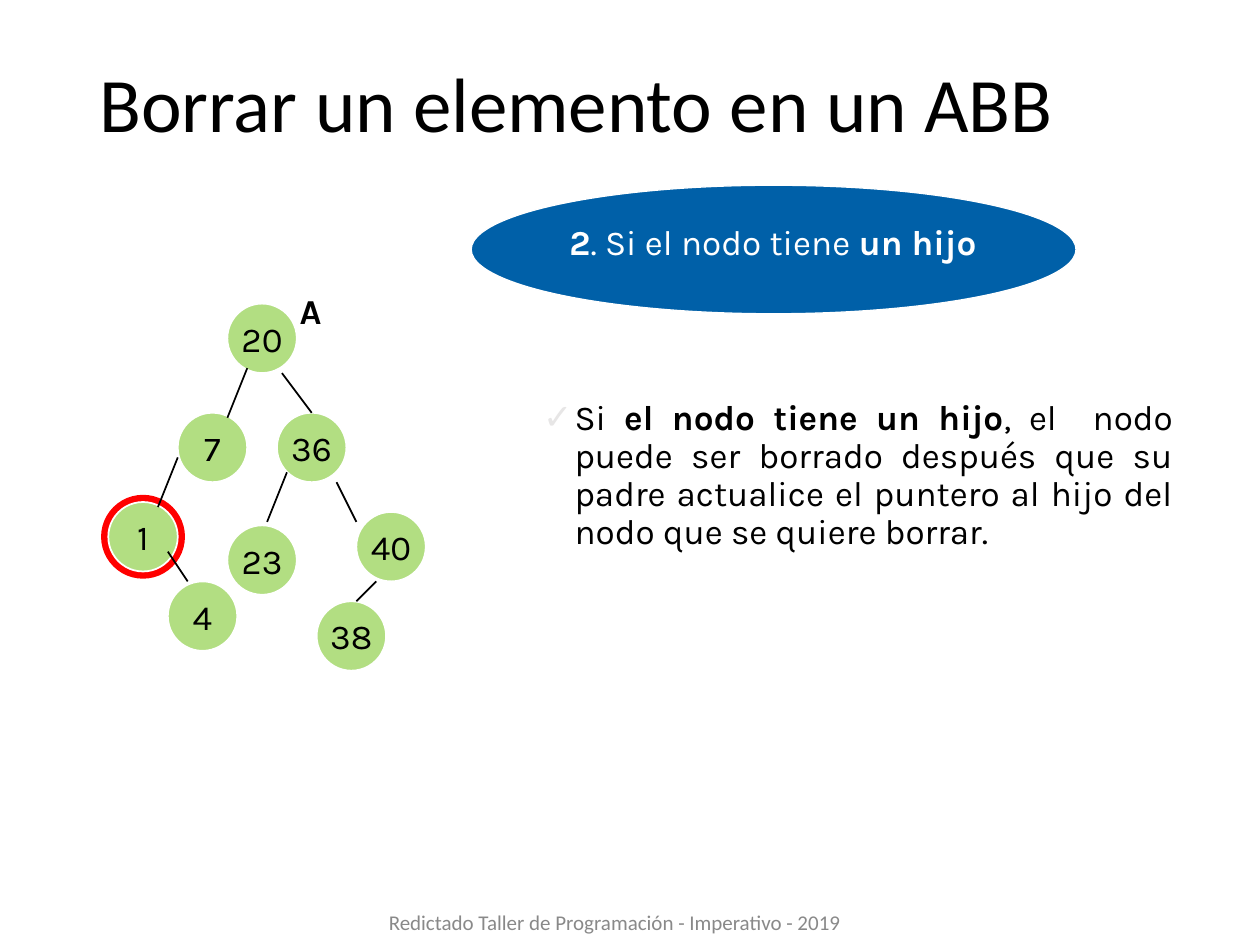
"""Build the slide on deleting a node with one child from a binary search tree."""
from typing import NamedTuple

from lxml.etree import SubElement
from pptx import Presentation
from pptx.dml.color import RGBColor
from pptx.enum.shapes import MSO_CONNECTOR as CONN, MSO_SHAPE as SHAPE
from pptx.enum.text import MSO_ANCHOR as ANCHOR, MSO_AUTO_SIZE as FIT, PP_ALIGN as ALIGN
from pptx.oxml.ns import qn
from pptx.util import Cm, Inches, Pt

BLACK = RGBColor(0x00, 0x00, 0x00)
WHITE = RGBColor(0xFF, 0xFF, 0xFF)
RED = RGBColor(0xFF, 0x00, 0x00)
GREEN = RGBColor(0xB2, 0xDE, 0x82)
PALE_BLUE = RGBColor(0xBE, 0xD1, 0xE0)
BLUE = RGBColor(0x00, 0x60, 0xA8)
GREY = RGBColor(0x89, 0x89, 0x89)

CELL = Cm(0.2)
TREE_LEFT, TREE_TOP = Inches(0.86), Inches(2.41)
NODE_CELLS = 7
RING_CELLS = 7.75


class Run(NamedTuple):
    text: str
    bold: bool = False


class Node(NamedTuple):
    label: str
    col: float
    row: float


class Edge(NamedTuple):
    col1: float
    row1: float
    col2: float
    row2: float


NODES = [
    Node("20", 12, 0), Node("7", 7, 11), Node("36", 17, 11), Node("1", 0, 20),
    Node("4", 6, 28), Node("23", 12, 22.35), Node("40", 25, 21), Node("38", 21, 30),
]
EDGES = [
    Edge(14, 6.5, 12, 11.5), Edge(17.5, 7, 20.5, 11), Edge(7, 15.5, 5, 20.5),
    Edge(6, 25, 8, 28), Edge(18, 17, 16, 22), Edge(23, 18, 25, 22), Edge(27, 28, 25, 30),
]


def grid(col: float, row: float) -> tuple[int, int]:
    """Return the position of a cell of the tree's grid."""
    return TREE_LEFT + int(col * CELL), TREE_TOP + int(row * CELL)


def move(sp, left: float, top: float, width: float, height: float) -> None:
    """Place a shape, in inches."""
    sp.left, sp.top, sp.width, sp.height = map(Inches, (left, top, width, height))


def write(p, runs: list[Run], size: float = 20, color: RGBColor = BLACK, font: str = "Karla") -> None:
    """Add formatted runs to a paragraph."""
    for text, bold in runs:
        r = p.add_run()
        r.text = text
        r.font.name, r.font.size, r.font.bold = font, Pt(size), bold
        r.font.color.rgb = color


def add_text(s, box: tuple[float, float, float, float], runs: list[Run], **style):
    """Add a text box and return its paragraph."""
    sp = s.shapes.add_textbox(*map(Inches, box))
    sp.text_frame.word_wrap = True
    p = sp.text_frame.paragraphs[0]
    write(p, runs, **style)
    return p


def add_oval(s, left: int, top: int, width: int, height: int, fill: RGBColor, line: RGBColor, weight: float):
    """Add a flat ellipse."""
    sp = s.shapes.add_shape(SHAPE.OVAL, left, top, width, height)
    sp.shadow.inherit = False
    sp.fill.solid()
    sp.fill.fore_color.rgb = fill
    sp.line.color.rgb = line
    sp.line.width = Pt(weight)
    return sp


def add_node(s, node: Node) -> None:
    """Add a labelled tree node."""
    size = NODE_CELLS * CELL
    sp = add_oval(s, *grid(node.col, node.row), size, size, GREEN, WHITE, 1)
    tf = sp.text_frame
    tf.word_wrap = False
    tf.vertical_anchor = ANCHOR.MIDDLE
    p = tf.paragraphs[0]
    p.alignment = ALIGN.CENTER
    write(p, [Run(node.label)])


def add_edge(s, edge: Edge) -> None:
    """Add a line between a parent and a child."""
    line = s.shapes.add_connector(
        CONN.STRAIGHT, *grid(edge.col1, edge.row1), *grid(edge.col2, edge.row2))
    line.line.color.rgb = BLACK
    line.line.width = Pt(1)
    SubElement(line._element.spPr, qn("a:effectLst"))


def add_tree(s) -> None:
    """Draw the tree with the node to delete ringed."""
    offset = (NODE_CELLS - RING_CELLS) / 2
    size = int(RING_CELLS * CELL)
    target = next(n for n in NODES if n.label == "1")
    add_oval(s, *grid(target.col + offset, target.row + offset), size, size, PALE_BLUE, RED, 4)
    for node in NODES:
        add_node(s, node)
    for edge in EDGES:
        add_edge(s, edge)
    add_text(s, (2.28, 2.25, 0.39, 0.44), [Run("A", True)])


def fill_title(title) -> None:
    """Place and write the title."""
    move(title, 0.69, 0.13, 8.63, 1.45)
    title.text_frame.vertical_anchor = ANCHOR.MIDDLE
    p = title.text_frame.paragraphs[0]
    p.alignment, p.line_spacing = ALIGN.LEFT, 0.9
    write(p, [Run("Borrar un elemento en un ABB")], size=44, font="Calibri")


def fill_body(body) -> None:
    """Place and write the check-marked explanation."""
    move(body, 4.21, 3.13, 5.2, 1.8)
    body.text_frame.auto_size = FIT.NONE
    p = body.text_frame.paragraphs[0]
    p.alignment, p.line_spacing, p.space_before = ALIGN.JUSTIFY, 0.9, Pt(10)
    write(p, [
        Run("Si "), Run("el nodo tiene un hijo", True),
        Run(", el  nodo puede ser borrado después que su padre actualice "
            "el puntero al hijo del nodo que se quiere borrar."),
    ])
    ppr = p._p.get_or_add_pPr()
    ppr.set("marL", str(Inches(0.25)))
    ppr.set("indent", str(Inches(-0.25)))
    SubElement(SubElement(ppr, qn("a:buClr")), qn("a:srgbClr"), val="E7E6E6")
    SubElement(ppr, qn("a:buChar"), char="✓")


def main() -> None:
    """Build and save the presentation."""
    prs = Presentation()
    prs.slide_width, prs.slide_height = Inches(10), Inches(7.5)
    s = prs.slides.add_slide(prs.slide_layouts[1])
    fill_title(s.shapes.title)
    fill_body(s.placeholders[1])
    add_tree(s)

    add_oval(s, *map(Inches, (3.74, 1.47, 4.8, 1.02)), BLUE, WHITE, 0.75)
    p = add_text(s, (4.42, 1.7, 4.44, 0.84),
                 [Run("2", True), Run(". Si el nodo tiene "), Run("un hijo", True)], color=WHITE)
    p.space_before = Pt(5)

    p = add_text(s, (2.6, 7.1, 4.56, 0.4),
                 [Run("Redictado Taller de Programación - Imperativo - 2019")],
                 size=12, color=GREY, font="Calibri")
    p.alignment, p.line_spacing, p.space_before = ALIGN.CENTER, 1.35, Pt(3)
    prs.save("out.pptx")


if __name__ == "__main__":
    main()
